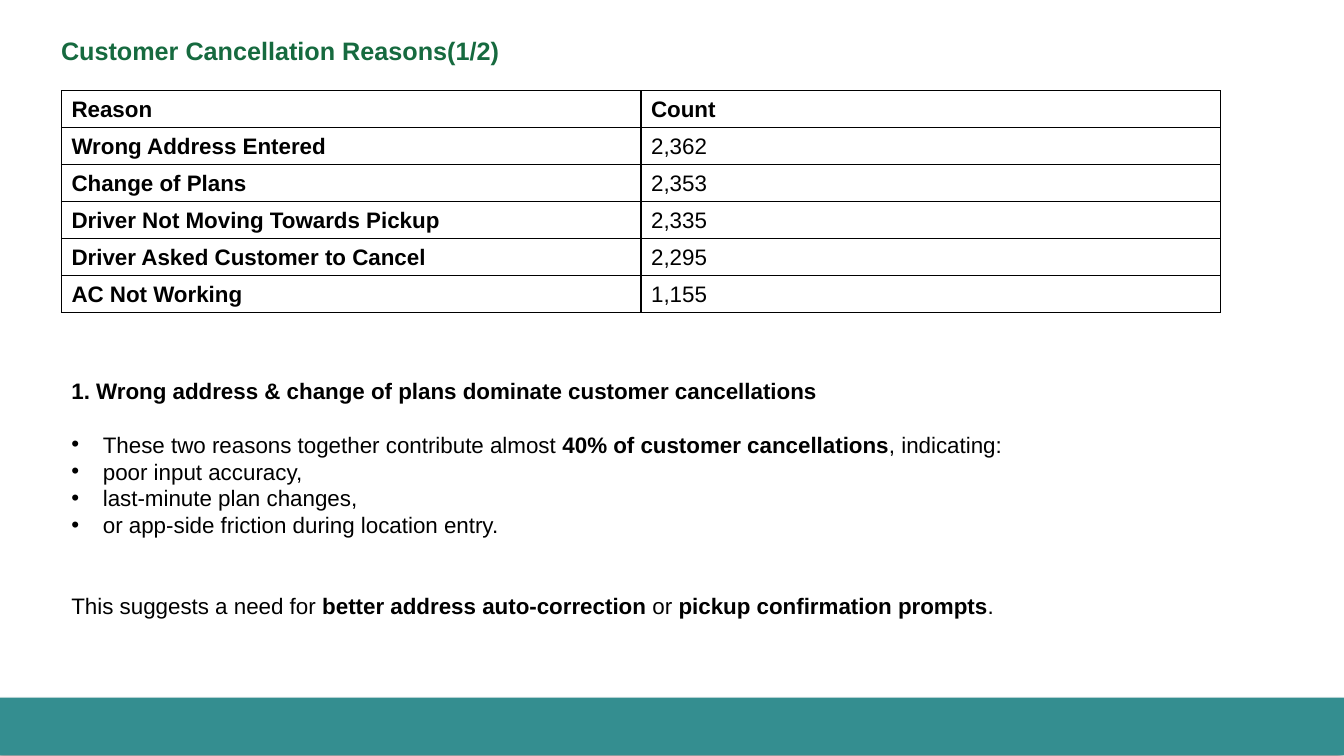
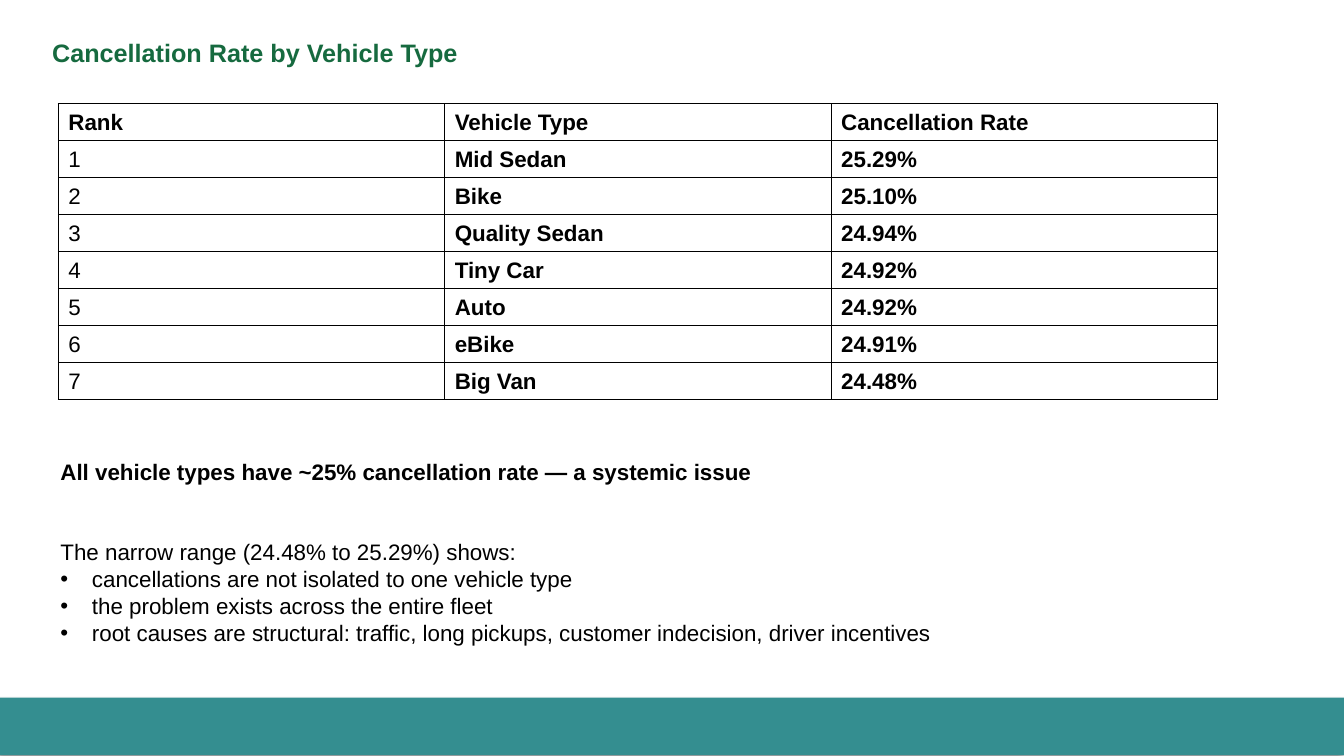
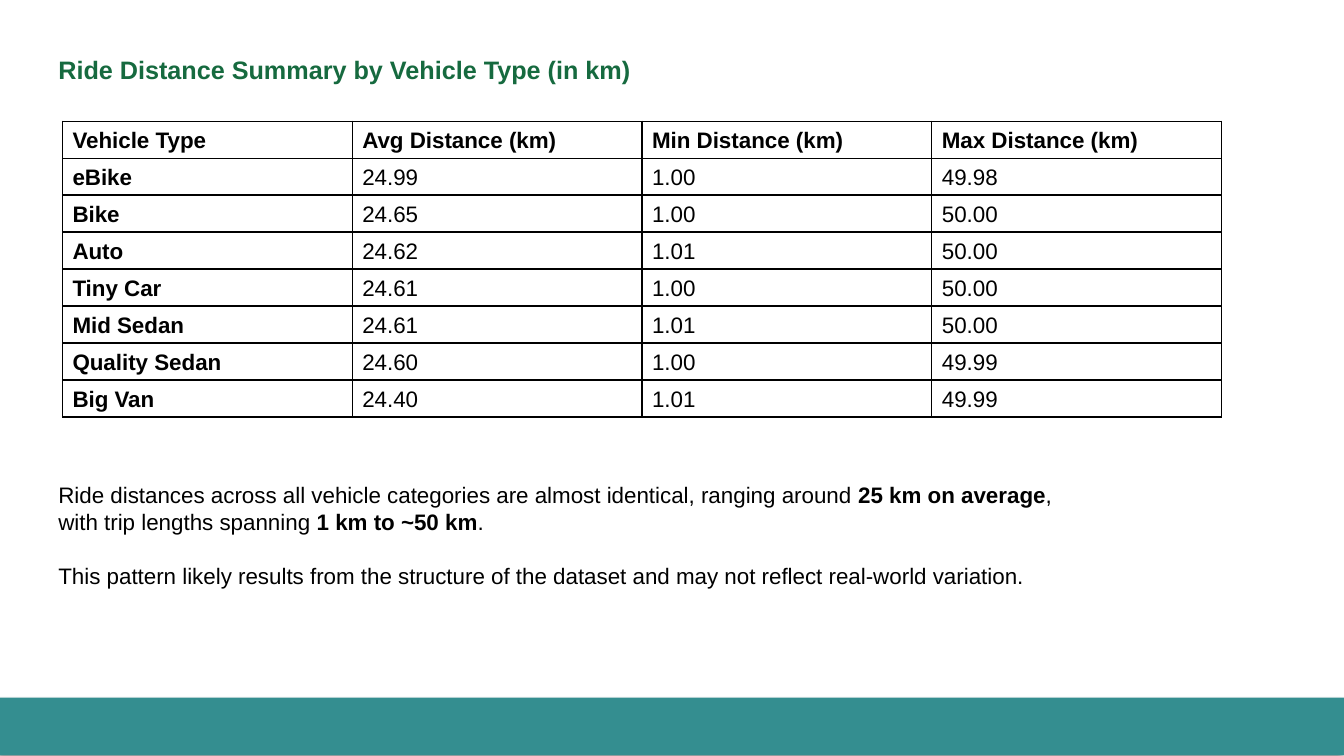
from dataclasses import dataclass

from lxml.etree import SubElement
from pptx import Presentation
from pptx.dml.color import RGBColor
from pptx.enum.shapes import MSO_SHAPE
from pptx.enum.text import MSO_ANCHOR
from pptx.oxml import parse_xml
from pptx.oxml.ns import nsdecls, qn
from pptx.presentation import Presentation as Deck
from pptx.slide import Slide
from pptx.util import Pt

GREEN = RGBColor(0x16, 0x6A, 0x3F)
TEAL = RGBColor(0x34, 0x8E, 0x90)
BLACK = RGBColor(0, 0, 0)
FONT = "Arial"
TITLE_SIZE = 18
BODY_SIZE = 16
LINE_RATIO = 1.2
LINE = BODY_SIZE * LINE_RATIO
PAGE_WIDTH, PAGE_HEIGHT = 960, 540
BAND_TOP, BAND_HEIGHT = 498.4, 41
TABLE_WIDTH, ROW_HEIGHT = 828, 26.4
BULLET_INDENT = 22.5
BAND_SHADOW = (
    f'<a:effectLst {nsdecls("a")}>'
    f'<a:outerShdw blurRad="{Pt(4)}" dist="{Pt(3)}" dir="8100000" algn="tr" rotWithShape="0">'
    '<a:srgbClr val="000000"><a:alpha val="40000"/></a:srgbClr>'
    "</a:outerShdw></a:effectLst>"
)


@dataclass(frozen=True)
class Area:
    left: float
    top: float
    width: float
    height: float


@dataclass(frozen=True)
class Line:
    text: str
    bullet: bool = False
    gap: float = 0


@dataclass(frozen=True)
class Grid:
    left: float
    top: float
    rows: list[tuple[str, ...]]
    bold_columns: tuple[int, ...]


@dataclass(frozen=True)
class Page:
    title: str
    title_area: Area
    grid: Grid
    body: list[Line]
    body_area: Area


PAGES = [
    Page(
        title="Customer Cancellation Reasons(1/2)",
        title_area=Area(36.5, 21.6, 331, 51),
        grid=Grid(
            left=43.9,
            top=64.8,
            rows=[
                ("Reason", "Count"),
                ("Wrong Address Entered", "2,362"),
                ("Change of Plans", "2,353"),
                ("Driver Not Moving Towards Pickup", "2,335"),
                ("Driver Asked Customer to Cancel", "2,295"),
                ("AC Not Working", "1,155"),
            ],
            bold_columns=(0,),
        ),
        body=[
            Line("**1. Wrong address & change of plans dominate customer cancellations**"),
            Line(
                "These two reasons together contribute almost "
                "**40% of customer cancellations**, indicating:",
                bullet=True,
                gap=LINE,
            ),
            Line("poor input accuracy,", bullet=True),
            Line("last-minute plan changes,", bullet=True),
            Line("or app-side friction during location entry.", bullet=True),
            Line(
                "This suggests a need for **better address auto-correction** "
                "or **pickup confirmation prompts**.",
                gap=2 * LINE,
            ),
        ],
        body_area=Area(43.9, 265.8, 684, 204),
    ),
    Page(
        title="Cancellation Rate by Vehicle Type",
        title_area=Area(30.2, 23, 307, 51),
        grid=Grid(
            left=41.7,
            top=74,
            rows=[
                ("Rank", "Vehicle Type", "Cancellation Rate"),
                ("1", "Mid Sedan", "25.29%"),
                ("2", "Bike", "25.10%"),
                ("3", "Quality Sedan", "24.94%"),
                ("4", "Tiny Car", "24.92%"),
                ("5", "Auto", "24.92%"),
                ("6", "eBike", "24.91%"),
                ("7", "Big Van", "24.48%"),
            ],
            bold_columns=(1, 2),
        ),
        body=[
            Line("**All vehicle types have ~25% cancellation rate — a systemic issue**"),
            Line("The narrow range (24.48% to 25.29%) shows:", gap=2 * LINE),
            Line("cancellations are not isolated to one vehicle type", bullet=True),
            Line("the problem exists across the entire fleet", bullet=True),
            Line(
                "root causes are structural: traffic, long pickups, "
                "customer indecision, driver incentives",
                bullet=True,
            ),
        ],
        body_area=Area(36.1, 323.5, 645, 165),
    ),
    Page(
        title="Ride Distance Summary by Vehicle Type (in km)",
        title_area=Area(34.6, 35.3, 427, 51),
        grid=Grid(
            left=44.6,
            top=86.5,
            rows=[
                ("Vehicle Type", "Avg Distance (km)", "Min Distance (km)", "Max Distance (km)"),
                ("eBike", "24.99", "1.00", "49.98"),
                ("Bike", "24.65", "1.00", "50.00"),
                ("Auto", "24.62", "1.01", "50.00"),
                ("Tiny Car", "24.61", "1.00", "50.00"),
                ("Mid Sedan", "24.61", "1.01", "50.00"),
                ("Quality Sedan", "24.60", "1.00", "49.99"),
                ("Big Van", "24.40", "1.01", "49.99"),
            ],
            bold_columns=(0,),
        ),
        body=[
            Line(
                "Ride distances across all vehicle categories are almost identical, "
                "ranging around **25 km on average**,"
            ),
            Line("with trip lengths spanning **1 km to ~50 km**."),
            Line(
                "This pattern likely results from the structure of the dataset "
                "and may not reflect real-world variation.",
                gap=LINE,
            ),
        ],
        body_area=Area(34.6, 340.3, 737, 107),
    ),
]


def write_paragraph(
    para,
    text: str,
    *,
    size: float = BODY_SIZE,
    color: RGBColor = BLACK,
    bold: bool = False,
    bullet: bool = False,
    gap: float = 0,
) -> None:
    if bullet:
        properties = para._p.get_or_add_pPr()
        properties.set("marL", str(Pt(BULLET_INDENT)))
        properties.set("indent", str(-Pt(BULLET_INDENT)))
        SubElement(properties, qn("a:buFont"), typeface=FONT)
        SubElement(properties, qn("a:buChar"), char="•")
    para.line_spacing = Pt(size * LINE_RATIO)
    if gap:
        para.space_before = Pt(gap)
    for index, part in enumerate(text.split("**")):
        if part:
            span = para.add_run()
            span.text = part
            span.font.name = FONT
            span.font.size = Pt(size)
            span.font.bold = bold or index % 2 == 1
            span.font.color.rgb = color


def add_text(
    slide: Slide,
    area: Area,
    lines: list[Line],
    *,
    size: float = BODY_SIZE,
    color: RGBColor = BLACK,
    bold: bool = False,
) -> None:
    box = slide.shapes.add_textbox(Pt(area.left), Pt(area.top), Pt(area.width), Pt(area.height))
    frame = box.text_frame
    frame.word_wrap = True
    for index, line in enumerate(lines):
        para = frame.add_paragraph() if index else frame.paragraphs[0]
        write_paragraph(
            para, line.text, size=size, color=color, bold=bold, bullet=line.bullet, gap=line.gap
        )


def add_borders(cell) -> None:
    properties = cell._tc.get_or_add_tcPr()
    for index, side in enumerate(("lnL", "lnR", "lnT", "lnB")):
        border = parse_xml(
            f'<a:{side} {nsdecls("a")} w="{Pt(1)}"><a:solidFill>'
            f'<a:srgbClr val="{BLACK}"/></a:solidFill></a:{side}>'
        )
        properties.insert(index, border)


def add_grid(slide: Slide, grid: Grid) -> None:
    row_count, column_count = len(grid.rows), len(grid.rows[0])
    table = slide.shapes.add_table(
        row_count,
        column_count,
        Pt(grid.left),
        Pt(grid.top),
        Pt(TABLE_WIDTH),
        Pt(ROW_HEIGHT * row_count),
    ).table
    table.first_row = False
    table.horz_banding = False
    for column in table.columns:
        column.width = Pt(TABLE_WIDTH / column_count)
    for row_index, values in enumerate(grid.rows):
        table.rows[row_index].height = Pt(ROW_HEIGHT)
        for column_index, value in enumerate(values):
            cell = table.cell(row_index, column_index)
            cell.vertical_anchor = MSO_ANCHOR.MIDDLE
            cell.fill.background()
            add_borders(cell)
            write_paragraph(
                cell.text_frame.paragraphs[0],
                value,
                bold=row_index == 0 or column_index in grid.bold_columns,
            )


def add_band(slide: Slide) -> None:
    band = slide.shapes.add_shape(
        MSO_SHAPE.RECTANGLE, 0, Pt(BAND_TOP), Pt(PAGE_WIDTH), Pt(BAND_HEIGHT)
    )
    band.fill.solid()
    band.fill.fore_color.rgb = TEAL
    band.line.fill.background()
    band._element.spPr.append(parse_xml(BAND_SHADOW))


def add_page(deck: Deck, page: Page) -> None:
    slide = deck.slides.add_slide(deck.slide_layouts[6])
    add_band(slide)
    add_text(
        slide, page.title_area, [Line(page.title)], size=TITLE_SIZE, color=GREEN, bold=True
    )
    add_grid(slide, page.grid)
    add_text(slide, page.body_area, page.body)


def main() -> None:
    deck = Presentation()
    deck.slide_width = Pt(PAGE_WIDTH)
    deck.slide_height = Pt(PAGE_HEIGHT)
    for page in PAGES:
        add_page(deck, page)
    deck.save("out.pptx")


if __name__ == "__main__":
    main()
